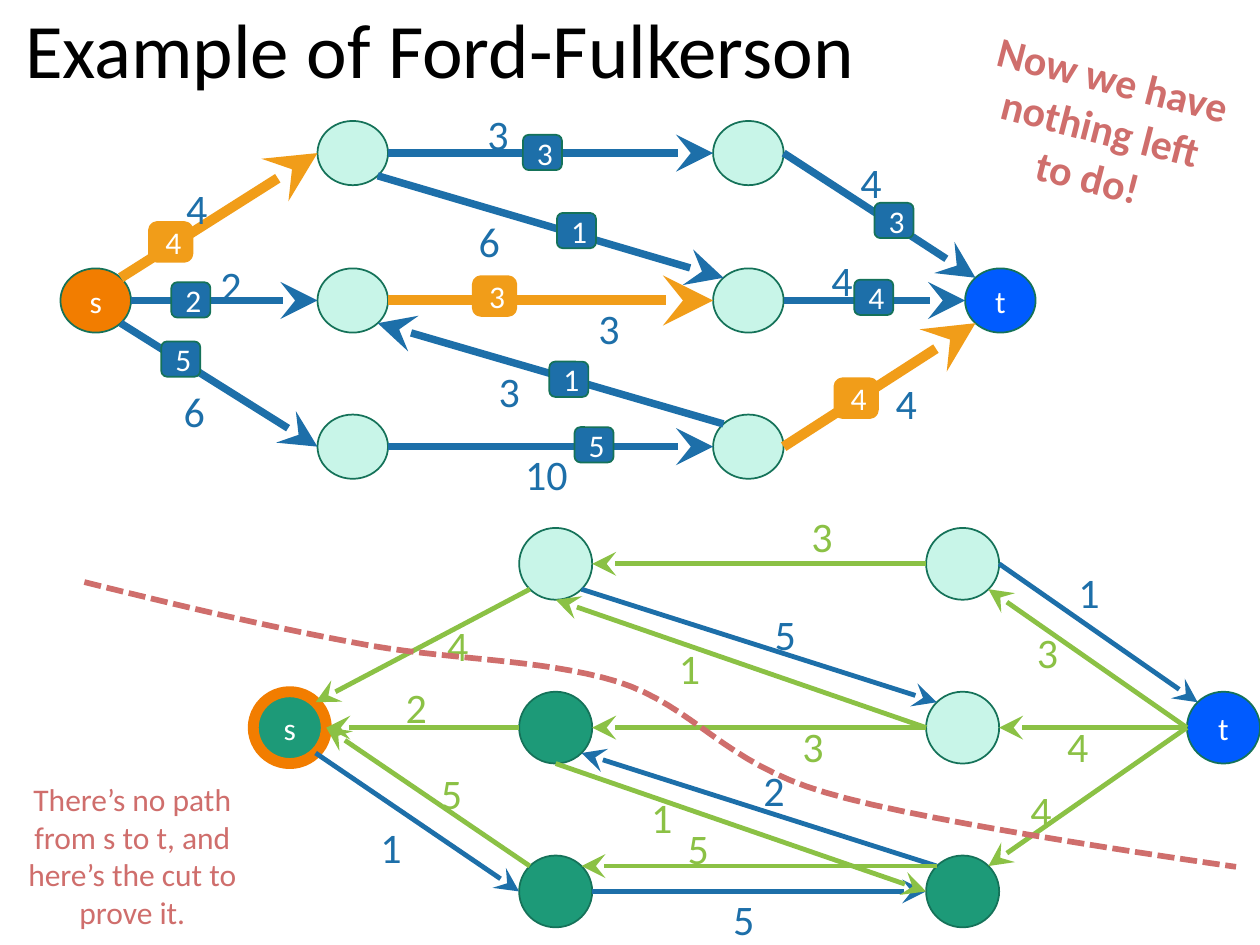
from math import cos, radians, sin

from lxml.etree import SubElement
from pptx import Presentation
from pptx.dml.color import RGBColor as Rgb
from pptx.enum.dml import MSO_LINE_DASH_STYLE as Dash
from pptx.enum.shapes import MSO_CONNECTOR as Connector, MSO_SHAPE as Shape
from pptx.enum.text import MSO_ANCHOR as Anchor, PP_ALIGN as Align
from pptx.oxml.ns import qn
from pptx.util import Cm, Pt

INCH = 2.54  # layout figures are in inches, drawn in centimetres
COLORS = {"black": "000000", "white": "FFFFFF", "blue": "1D6FA9", "gold": "F19D19",
          "green": "8BC145", "red": "CF6E6C", "mint": "C8F5E8", "teal": "1D9A78",
          "edge": "157259", "source": "F27D00", "sink": "005BFF"}
ANGLES = {"E": 0, "SE": 45, "S": 90, "SW": 135, "W": 180, "NW": 225, "N": 270, "NE": 315}

deck = Presentation()
deck.slide_width, deck.slide_height = Cm(25.4), Cm(19.05)
page = deck.slides.add_slide(deck.slide_layouts[6])


def write(box, text, color, size, align=Align.LEFT, anchor=Anchor.TOP, bold=False):
    frame = box.text_frame
    frame.word_wrap = True
    frame.vertical_anchor = anchor
    para = frame.paragraphs[0]
    para.alignment = align
    span = para.add_run()
    span.text = text
    for name, value in {"name": "Calibri", "size": Pt(size), "bold": bold}.items():
        setattr(span.font, name, value)
    span.font.color.rgb = Rgb.from_string(COLORS[color])
    return para


def add_solid(kind, place, fill, line, width, text):
    shape = page.shapes.add_shape(kind, *(Cm(v * INCH) for v in place))
    shape.shadow.inherit = False
    shape.fill.solid()
    shape.fill.fore_color.rgb = Rgb.from_string(COLORS[fill])
    shape.line.color.rgb = Rgb.from_string(COLORS[line])
    shape.line.width = Pt(width)
    if text:
        write(shape, text, "white", 18, Align.CENTER, Anchor.MIDDLE)


# Title
title = page.shapes.add_textbox(*(Cm(v * INCH) for v in (0.1, -0.3, 8.62, 1.45)))
write(title, "Example of Ford-Fulkerson", "black", 44, anchor=Anchor.MIDDLE).line_spacing = 0.9

# Nodes: s, columns a and b with rows 1 to 3, and t
GRID = {"s": (0, 1), "t": (3, 1),
        **{f"{letter}{row + 1}": (col, row)
           for col, letter in ((1, "a"), (2, "b")) for row in range(3)}}

flow_network = {
    "columns": (0.48, 2.52, 5.66, 7.66), "rows": (0.96, 2.13, 3.29), "node": (0.56, 0.51),
    "fills": {"s": "source", "t": "sink"}, "outlines": {},
    "widths": {"blue": 4.25, "gold": 5.75}, "label": (0.6, 0.41),
    "edges": {
        "blue": ["s SE a3 W", "s E a2 W", "b3 NW a2 SE", "a1 SE b2 NW", "a1 E b1 W",
                 "a3 E b3 W", "b1 E t NW", "b2 E t W"],
        "gold": ["s NE a1 W", "a2 E b2 W", "b3 E t SW"]},
    "labels": {"blue": [
        ("4", 1.38, 1.4), ("2", 1.65, 2.01), ("6", 1.36, 3.01), ("3", 3.77, 0.81),
        ("6", 3.7, 1.66), ("3", 4.65, 2.35), ("3", 3.86, 2.85), ("10", 4.07, 3.51),
        ("4", 7.01, 2.95), ("4", 6.5, 1.97), ("4", 6.73, 1.19)]},
}
residual_graph = {
    "columns": (2.01, 4.12, 7.35, 9.42), "rows": (4.19, 5.49, 6.79), "node": (0.58, 0.57),
    "fills": {"t": "sink", **dict.fromkeys(("s", "a2", "a3", "b3"), "teal")},
    "outlines": {"s": ("source", 6.25)},
    "widths": {"blue": 2.75, "green": 2.75}, "label": (0.62, 0.5),
    "edges": {
        "blue": ["s SE a3 W", "b3 NW a2 SE", "a1 SE b2 NW", "a3 E b3 W", "b1 E t NW"],
        "green": ["t W b3 NE", "t W b1 SE", "b1 W a1 E", "a1 SW s NE", "a3 NW s E",
                  "b3 NW a3 NE", "b2 W a2 E", "b2 W a1 S", "a2 W s E", "a2 S b3 W",
                  "t W b2 E"]},
    "labels": {
        "blue": [("1", 2.92, 6.47), ("5", 6.05, 4.78), ("5", 5.72, 7.04),
                 ("1", 8.46, 4.45), ("2", 5.96, 6.02)],
        "green": [("3", 6.27, 5.67), ("4", 8.37, 5.67), ("3", 8.13, 4.92),
                  ("4", 8.08, 6.18), ("1", 5.07, 6.23), ("5", 5.36, 6.48),
                  ("5", 3.4, 6.04), ("1", 5.29, 5.05), ("3", 6.34, 4),
                  ("4", 3.45, 4.87), ("2", 3.12, 5.36)]},
}

for graph in (flow_network, residual_graph):
    width, height = graph["node"]
    corners = {name: (graph["columns"][col], graph["rows"][row])
               for name, (col, row) in GRID.items()}
    for name, corner in corners.items():
        outline = graph["outlines"].get(name, ("edge", 1))
        add_solid(Shape.OVAL, (*corner, width, height), graph["fills"].get(name, "mint"),
                  *outline, name if name in "st" else "")

    # Edges run between compass points on the node outlines
    for color, edges in graph["edges"].items():
        for edge in edges:
            start, start_side, end, end_side = edge.split()
            ends = []
            for name, side in ((start, start_side), (end, end_side)):
                left, top = corners[name]
                angle = radians(ANGLES[side])
                ends += [Cm((left + width / 2 * (1 + cos(angle))) * INCH),
                         Cm((top + height / 2 * (1 + sin(angle))) * INCH)]
            arrow = page.shapes.add_connector(Connector.STRAIGHT, *ends)
            arrow.line.color.rgb = Rgb.from_string(COLORS[color])
            arrow.line.width = Pt(graph["widths"][color])
            SubElement(arrow.line._get_or_add_ln(), qn("a:tailEnd"),
                       type="stealth", w="lg", len="lg")
            SubElement(arrow._element.spPr, qn("a:effectLst"))

    # Capacities
    for color, labels in graph["labels"].items():
        for text, left, top in labels:
            place = (left, top, *graph["label"])
            write(page.shapes.add_textbox(*(Cm(v * INCH) for v in place)), text, color, 24)

# Flow badges on the upper network
badges = {
    ("blue", "edge", 1): [
        ("5", 1.28, 2.71), ("2", 1.36, 2.24), ("3", 4.15, 1.07), ("1", 4.42, 1.69),
        ("1", 4.36, 2.87), ("5", 4.56, 3.39), ("4", 6.78, 2.22), ("3", 6.94, 1.61)],
    ("gold", "gold", 3.5): [("4", 1.2, 1.78), ("3", 3.77, 2.21), ("4", 6.64, 3.02)],
}
for style, items in badges.items():
    for text, left, top in items:
        add_solid(Shape.ROUNDED_RECTANGLE, (left, top, 0.31, 0.28), *style, text)

# Remark at the top right
remark = page.shapes.add_textbox(*(Cm(v * INCH) for v in (7.7, 0.36, 2.07, 1.31)))
remark.rotation = 14.4
write(remark, "Now we have nothing left to do!", "red", 24, Align.CENTER, bold=True)

# Dashed cut: cubic curves sampled into short segments
knots = [(0.67, 4.62), (1.39, 4.8), (2.11, 4.97), (2.81, 5.1), (3.51, 5.24), (4.27, 5.22),
         (4.9, 5.41), (5.52, 5.61), (5.73, 6.05), (6.55, 6.29), (7.37, 6.54), (9.81, 6.88),
         (9.81, 6.88)]
STEPS = 16
points = []
for first in range(0, len(knots) - 1, 3):
    for step in range(1, STEPS + 1):
        t = step / STEPS
        weights = ((1 - t) ** 3, 3 * t * (1 - t) ** 2, 3 * t * t * (1 - t), t ** 3)
        points.append([Cm(INCH * sum(w * knot[axis] for w, knot
                                     in zip(weights, knots[first:first + 4])))
                       for axis in (0, 1)])
outline = page.shapes.build_freeform(*(Cm(v * INCH) for v in knots[0]))
outline.add_line_segments(points, close=False)
cut = outline.convert_to_shape()
cut.shadow.inherit = False
cut.fill.background()
cut.line.color.rgb = Rgb.from_string(COLORS["red"])
cut.line.width = Pt(3.25)
cut.line.dash_style = Dash.SQUARE_DOT

# Remark at the bottom left
proof = page.shapes.add_textbox(*(Cm(v * INCH) for v in (0.09, 6.14, 1.92, 1.31)))
write(proof, "There’s no path from s to t, and here’s the cut to prove it.", "red", 18,
      Align.CENTER)

deck.save("out.pptx")
